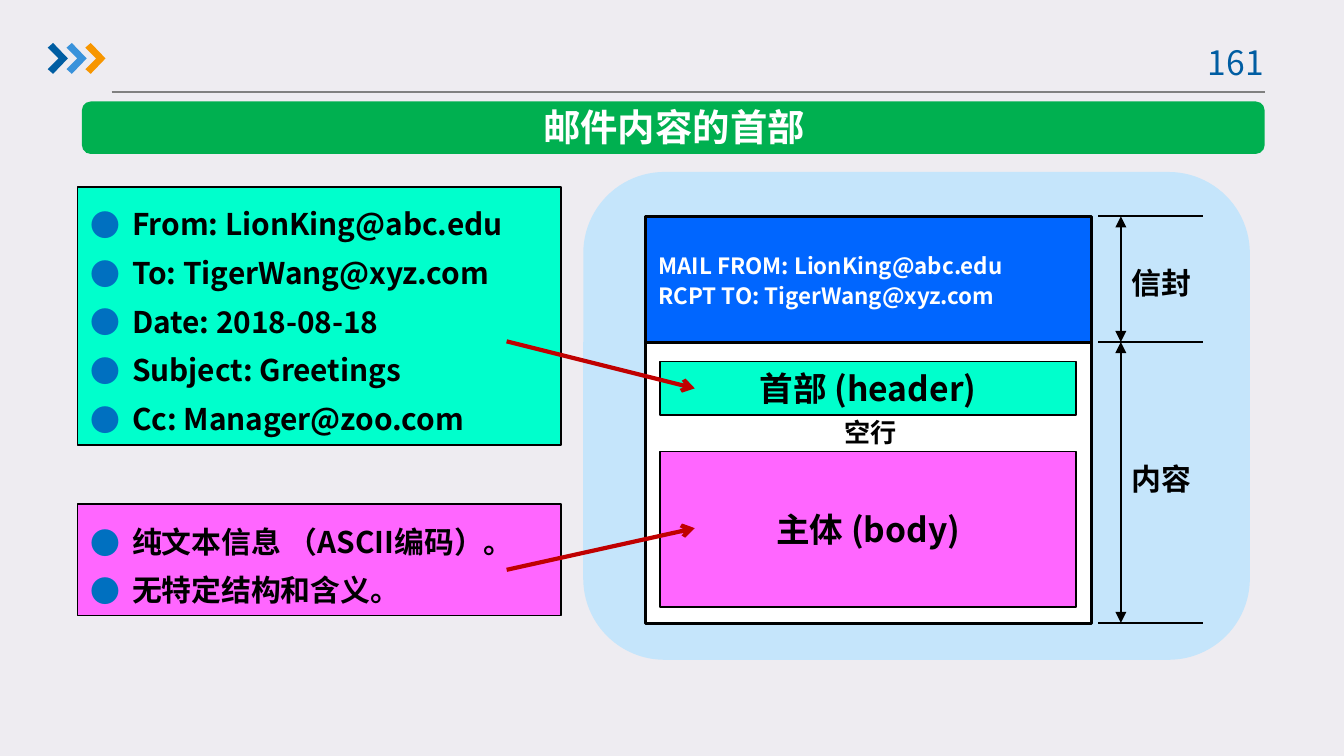
from dataclasses import dataclass

from lxml import etree
from pptx import Presentation
from pptx import util as u
from pptx.dml.color import RGBColor
from pptx.enum import shapes, text
from pptx.oxml.ns import qn

RECT = shapes.MSO_SHAPE.RECTANGLE
ROUND = shapes.MSO_SHAPE.ROUNDED_RECTANGLE
LEFT, CENTER, RIGHT = text.PP_ALIGN.LEFT, text.PP_ALIGN.CENTER, text.PP_ALIGN.RIGHT
TOP, MIDDLE = text.MSO_ANCHOR.TOP, text.MSO_ANCHOR.MIDDLE


@dataclass(frozen=True)
class Theme:
    font: str = "Noto Sans CJK SC"
    ground: str = "EEECF1"
    ink: str = "000000"
    white: str = "FFFFFF"
    rule: str = "808080"
    number: str = "005DA2"
    chevrons: tuple = ("005DA2", "3992DB", "F79600")
    banner: str = "00B050"
    panel: str = "C5E5FB"
    envelope: str = "0066FF"
    header: str = "00FFCC"
    body: str = "FF66FF"
    bullet: str = "0070C0"
    pointer: str = "C00000"
    title_size: int = 20
    part_size: int = 18
    text_size: int = 16
    note_size: int = 14
    command_size: int = 12


def assign(target, values):
    for name, value in values.items():
        setattr(target, name, value)


def add_xml(parent, tag, **values):
    return etree.SubElement(parent, qn(tag), values)


class Board:
    def __init__(self, deck, theme):
        self.theme = theme
        self.cell = deck.slide_width / 100
        self.page = deck.slides.add_slide(deck.slide_layouts[5])
        self.paint(self.page.background.fill, theme.ground)

    def grid(self, *cells):
        return [u.Emu(round(count * self.cell)) for count in cells]

    def paint(self, fill, color):
        fill.solid()
        fill.fore_color.rgb = RGBColor.from_string(color)

    def shape(self, kind, at, fill, border=None):
        box = self.page.shapes.add_shape(kind, *self.grid(*at))
        box.shadow.inherit = False
        self.paint(box.fill, fill)
        if border:
            self.paint(box.line.fill, self.theme.ink)
            box.line.width = u.Pt(border)
        else:
            box.line.fill.background()
        return box

    def fill_text(self, box, lines, size, color=None, align=CENTER, anchor=MIDDLE,
                  spacing=None, bold=True, bullets=False):
        frame = box.text_frame
        assign(frame, dict(word_wrap=True, vertical_anchor=anchor,
                           auto_size=text.MSO_AUTO_SIZE.NONE,
                           margin_left=u.Inches(0.1), margin_right=u.Inches(0.1),
                           margin_top=u.Inches(0.05), margin_bottom=u.Inches(0.05)))
        for index, line in enumerate(lines):
            para = frame.paragraphs[0] if index == 0 else frame.add_paragraph()
            if bullets:
                self.bullet(para)
            para.alignment = align
            if spacing:
                para.line_spacing = u.Pt(spacing)
            span = para.add_run()
            span.text = line
            assign(span.font, dict(name=self.theme.font, size=u.Pt(size), bold=bold))
            span.font.color.rgb = RGBColor.from_string(color or self.theme.ink)
            add_xml(span._r.get_or_add_rPr(), "a:ea", typeface=self.theme.font)

    def bullet(self, para):
        props = para._p.get_or_add_pPr()
        indent = u.Inches(0.31)
        props.set("marL", str(indent))
        props.set("indent", str(-indent))
        add_xml(add_xml(props, "a:buClr"), "a:srgbClr", val=self.theme.bullet)
        add_xml(props, "a:buFont", typeface=self.theme.font)
        add_xml(props, "a:buChar", char="●")

    def label(self, at, line, size, **style):
        box = self.page.shapes.add_textbox(*self.grid(*at))
        self.fill_text(box, [line], size, **style)

    def title(self, at, line):
        box = self.page.shapes.title
        assign(box, dict(zip(("left", "top", "width", "height"), self.grid(*at))))
        self.fill_text(box, [line], self.theme.title_size, self.theme.white)
        self.page.shapes._spTree.append(box._element)

    def line(self, start, end, color, width, head=None, tail=None):
        link = self.page.shapes.add_connector(
            shapes.MSO_CONNECTOR.STRAIGHT, *self.grid(*start, *end))
        self.paint(link.line.fill, color)
        link.line.width = u.Pt(width)
        outline = link.line._get_or_add_ln()
        for tag, kind in (("a:headEnd", head), ("a:tailEnd", tail)):
            if kind:
                add_xml(outline, tag, type=kind)
        add_xml(link._element.spPr, "a:effectLst")

    def chevron(self, left, top, color):
        outline = ((0, 0.35), (0.4, 0), (1.5, 1.15), (0.4, 2.3), (0, 1.95), (0.8, 1.15))
        points = [self.grid(left + x, top + y) for x, y in outline]
        builder = self.page.shapes.build_freeform(*points[0])
        builder.add_line_segments(points[1:], close=True)
        mark = builder.convert_to_shape()
        mark.shadow.inherit = False
        self.paint(mark.fill, color)
        mark.line.fill.background()


def main():
    deck = Presentation()
    deck.slide_width, deck.slide_height = u.Inches(10), u.Inches(10 * 9 / 16)
    theme = Theme()
    board = Board(deck, theme)

    board.line((8.3, 6.85), (94.1, 6.85), theme.rule, 0.75)
    for index, color in enumerate(theme.chevrons):
        board.chevron(3.55 + 1.4 * index, 3.2, color)
    board.label((88.3, 2.6, 7.3, 4), "161", theme.part_size,
                color=theme.number, bold=False, anchor=TOP)

    board.shape(ROUND, (43.4, 12.8, 49.6, 36.3), theme.panel)
    board.shape(RECT, (48, 25.4, 33.2, 21), theme.white, 1.5)
    for top, height, fill, name in ((26.9, 4, theme.header, "首部 (header)"),
                                    (33.6, 11.6, theme.body, "主体 (body)")):
        part = board.shape(RECT, (49.1, top, 31, height), fill, 1)
        board.fill_text(part, [name], theme.part_size)
    board.label((54.9, 30.5, 19.7, 3.4), "空行", theme.note_size, anchor=TOP)
    envelope = board.shape(RECT, (48, 16.1, 33.2, 9.4), theme.envelope, 1.5)
    board.fill_text(envelope, ["MAIL FROM: LionKing@abc.edu", "RCPT TO: TigerWang@xyz.com"],
                    theme.command_size, theme.white, LEFT, spacing=16)

    levels = (16.1, 25.45, 46.35)
    for level in levels:
        board.line((81.7, level), (89.5, level), theme.ink, 1)
    for upper, lower, top, name in zip(levels, levels[1:], (19, 33.6), ("信封", "内容")):
        board.line((83.4, upper), (83.4, lower), theme.ink, 1, "triangle", "triangle")
        board.label((81.4, top, 8.2, 4), name, theme.text_size, align=RIGHT)

    notes = (
        (13.9, 19.2, theme.header, 25.4, 28.9,
         ["From: LionKing@abc.edu", "To: TigerWang@xyz.com", "Date: 2018-08-18",
          "Subject: Greetings", "Cc: Manager@zoo.com"]),
        (37.5, 8.3, theme.body, 42.4, 39.3,
         ["纯文本信息 （ASCII编码）。", "无特定结构和含义。"]),
    )
    for top, height, fill, start, end, lines in notes:
        note = board.shape(RECT, (5.75, top, 36, height), fill, 0.75)
        board.fill_text(note, lines, theme.text_size, align=LEFT, anchor=TOP,
                        spacing=26, bullets=True)
        board.line((37.7, start), (51.7, end), theme.pointer, 2.25, tail="arrow")

    board.shape(ROUND, (6.1, 7.55, 88, 3.9), theme.banner)
    board.title((38.9, 7.2, 22.5, 4.4), "邮件内容的首部")
    deck.save("out.pptx")


if __name__ == "__main__":
    main()
